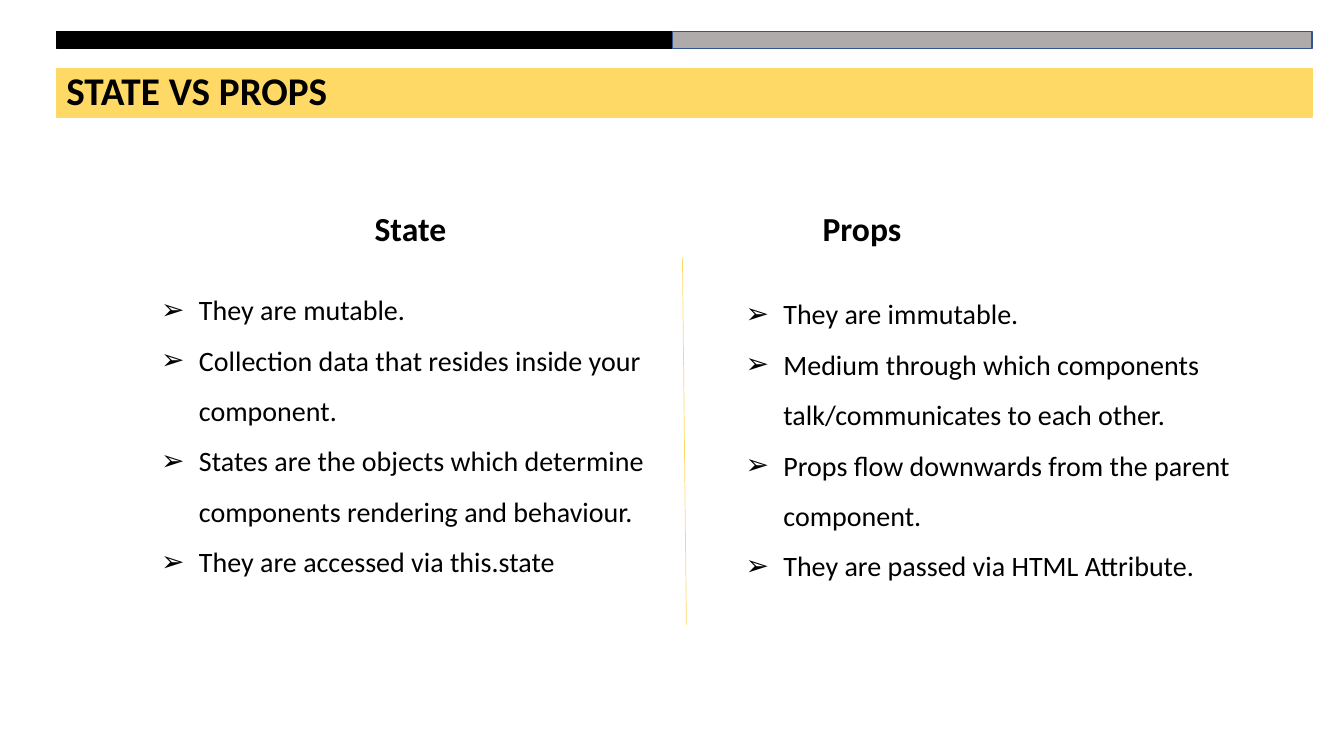
from lxml import etree
from pptx import Presentation
from pptx.dml.color import RGBColor
from pptx.enum.shapes import MSO_CONNECTOR, MSO_SHAPE
from pptx.oxml.ns import qn
from pptx.util import Pt

RECT = MSO_SHAPE.RECTANGLE
STRAIGHT = MSO_CONNECTOR.STRAIGHT
FONT = "Calibri"
INDENT = Pt(27)
COLORS = {
    "yellow": "FFD966",
    "black": "000000",
    "gray": "AFABAB",
    "blue": "325491",
}
STATE_POINTS = [
    "They are mutable.",
    "Collection data that resides inside your component.",
    "States are the objects which determine components rendering and behaviour.",
    "They are accessed via this.state",
]
PROPS_POINTS = [
    "They are immutable.",
    "Medium through which components talk/communicates to each other.",
    "Props flow downwards from the parent component.",
    "They are passed via HTML Attribute.",
]


def rgb(name):
    return RGBColor.from_string(COLORS[name])


def add_bar(s, left, top, width, height, fill, line):
    sp = s.shapes.add_shape(RECT, Pt(left), Pt(top), Pt(width), Pt(height))
    sp.shadow.inherit = False
    sp.fill.solid()
    sp.fill.fore_color.rgb = rgb(fill)
    sp.line.color.rgb = rgb(line)
    sp.line.width = Pt(1)


def add_text(s, left, top, width, height, lines, size, bold=False):
    sp = s.shapes.add_textbox(Pt(left), Pt(top), Pt(width), Pt(height))
    tf = sp.text_frame
    tf.word_wrap = True
    tf.text = "\n".join(lines)
    for p in tf.paragraphs:
        for r in p.runs:
            r.font.name = FONT
            r.font.size = Pt(size)
            r.font.bold = bold
            r.font.color.rgb = rgb("black")
    return tf


def add_bullets(s, left, top, width, height, lines):
    tf = add_text(s, left, top, width, height, lines, 20)
    for p in tf.paragraphs:
        p.line_spacing = 1.5
        pPr = p._p.get_or_add_pPr()
        pPr.set("marL", str(INDENT))
        pPr.set("indent", str(-INDENT))
        etree.SubElement(pPr, qn("a:buFont")).set("typeface", "Arial")
        etree.SubElement(pPr, qn("a:buChar")).set("char", "➢")


def add_divider(s, x1, y1, x2, y2):
    line = s.shapes.add_connector(STRAIGHT, Pt(x1), Pt(y1), Pt(x2), Pt(y2))
    line.line.color.rgb = rgb("yellow")
    line.line.width = Pt(0.5)
    etree.SubElement(line._element.spPr, qn("a:effectLst"))


def main():
    prs = Presentation()
    prs.slide_width = Pt(960)
    prs.slide_height = Pt(540)
    s = prs.slides.add_slide(prs.slide_layouts[6])

    add_bar(s, 40.3, 49, 897, 34.5, "yellow", "yellow")
    add_text(s, 40.3, 44, 517, 41, ["STATE VS PROPS"], 28, bold=True)
    add_bar(s, 40.3, 22.5, 600, 12, "black", "black")
    add_bar(s, 480.3, 22.5, 457, 12, "gray", "blue")

    add_text(s, 260.5, 144.7, 80, 36, ["State"], 24, bold=True)
    add_text(s, 580.5, 145, 80, 36, ["Props"], 24, bold=True)
    add_bullets(s, 108, 193.5, 417, 225.5, STATE_POINTS)
    add_bullets(s, 525.5, 196.5, 393, 225.5, PROPS_POINTS)
    add_divider(s, 487.5, 184.5, 490.3, 446.5)

    prs.save("out.pptx")


main()
